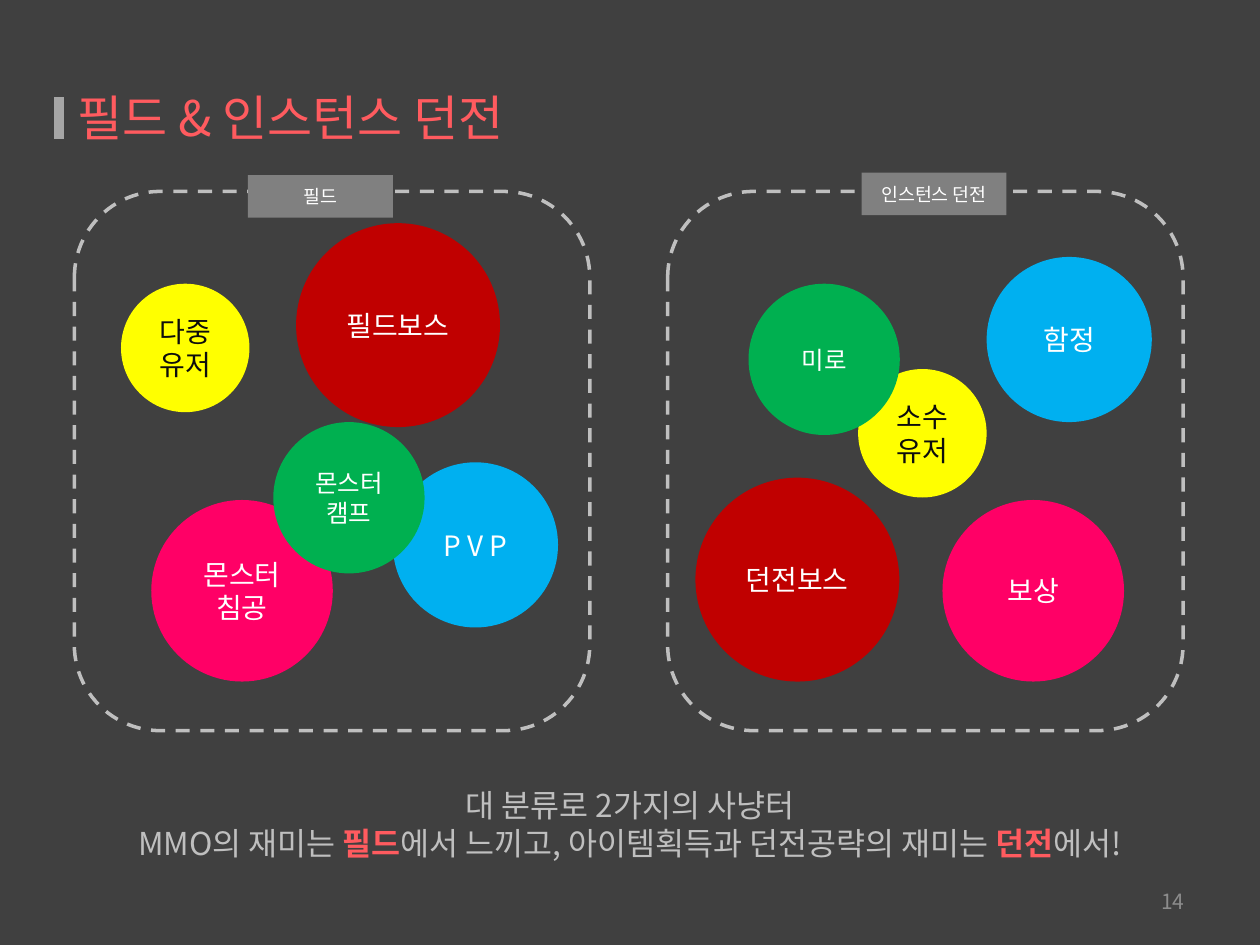
from lxml import etree
from pptx import Presentation
from pptx.dml.color import RGBColor
from pptx.enum.dml import MSO_LINE
from pptx.enum.shapes import MSO_SHAPE
from pptx.enum.text import MSO_ANCHOR, MSO_AUTO_SIZE, PP_ALIGN
from pptx.oxml.ns import qn
from pptx.util import Cm, Pt

RECT, ROUNDED, OVAL = MSO_SHAPE.RECTANGLE, MSO_SHAPE.ROUNDED_RECTANGLE, MSO_SHAPE.OVAL
LEFT, CENTER, RIGHT = PP_ALIGN.LEFT, PP_ALIGN.CENTER, PP_ALIGN.RIGHT
MIDDLE, TOP = MSO_ANCHOR.MIDDLE, MSO_ANCHOR.TOP
DASH, NO_FIT = MSO_LINE.DASH, MSO_AUTO_SIZE.NONE
FONT = "Noto Sans CJK KR"
COLORS = {
    "background": "404040", "bar": "A6A6A6", "frame": "BFBFBF", "label": "808080",
    "accent": "FF5B5F", "white": "FFFFFF", "black": "0D0D0D", "number": "8C8C8C",
    "yellow": "FFFF00", "red": "C00000", "pink": "FF0066", "blue": "00B0F0",
    "green": "00B050",
}


def write(box, paragraphs, size, align=CENTER, anchor=MIDDLE):
    """Fill a box with paragraphs, each a list of (text, color, bold)."""
    frame = box.text_frame
    frame.word_wrap = True
    frame.auto_size = NO_FIT
    frame.vertical_anchor = anchor
    for index, spans in enumerate(paragraphs):
        para = frame.add_paragraph() if index else frame.paragraphs[0]
        para.alignment = align
        for text, color, bold in spans:
            span = para.add_run()
            span.text = text
            span.font.size = Pt(size)
            span.font.bold = bold
            span.font.name = FONT
            span.font.color.rgb = RGBColor.from_string(COLORS[color])
            east_asian = etree.SubElement(span.font._element, qn("a:ea"))
            east_asian.set("typeface", FONT)


def add_block(kind, left, top, width, height, fill=None):
    block = page.shapes.add_shape(kind, Cm(left), Cm(top), Cm(width), Cm(height))
    block.shadow.inherit = False
    block.line.fill.background()
    if fill:
        block.fill.solid()
        block.fill.fore_color.rgb = RGBColor.from_string(COLORS[fill])
    else:
        block.fill.background()
    return block


deck = Presentation()
deck.slide_width, deck.slide_height = Cm(25.4), Cm(19.05)
page = deck.slides.add_slide(deck.slide_layouts[5])
page.background.fill.solid()
page.background.fill.fore_color.rgb = RGBColor.from_string(COLORS["background"])

# Title with its bar
add_block(RECT, 1.09, 1.96, 0.2, 0.84, "bar")
title = page.shapes.title
title.left, title.top, title.width, title.height = Cm(1.3), Cm(0.76), Cm(11.61), Cm(3.18)
write(title, [[("필드 & 인스턴스 던전", "accent", False)]], 28, LEFT)

# Dashed frames with their labels
for frame_left, label_left, label_top, name in [
    (1.5, 5, 3.53, "필드"),
    (13.46, 17.37, 3.48, "인스턴스 던전"),
]:
    border = add_block(ROUNDED, frame_left, 3.86, 10.39, 10.87)
    border.line.color.rgb = RGBColor.from_string(COLORS["frame"])
    border.line.width = Pt(2)
    border.line.dash_style = DASH
    label = add_block(RECT, label_left, label_top, 2.92, 0.86, "label")
    write(label, [[(name, "white", False)]], 10.5)

# Circles, back to front; each color has one diameter and text size
CIRCLE_STYLES = {
    "yellow": (2.59, 16, "black"), "red": (4.11, 16, "white"), "pink": (3.66, 16, "white"),
    "blue": (3.33, 16, "white"), "green": (3.05, 14, "white"),
}
for color, left, top, lines in [
    ("yellow", 2.44, 5.72, ["다중", "유저"]),
    ("yellow", 17.3, 7.44, ["소수유저"]),
    ("red", 5.97, 4.5, ["필드보스"]),
    ("red", 14.02, 9.63, ["던전보스"]),
    ("pink", 3.05, 10.08, ["몬스터 침공"]),
    ("blue", 7.92, 9.32, ["P V P"]),
    ("green", 5.51, 8.51, ["몬스터캠프"]),
    ("pink", 19, 10.08, ["보상"]),
    ("blue", 19.89, 5.18, ["함정"]),
    ("green", 15.09, 5.72, ["미로"]),
]:
    diameter, size, text_color = CIRCLE_STYLES[color]
    circle = add_block(OVAL, left, top, diameter, diameter, color)
    write(circle, [[(line, text_color, False)] for line in lines], size)

# Summary
summary = page.shapes.add_textbox(Cm(1.55), Cm(15.72), Cm(22.3), Cm(1.8))
write(summary, [
    [("대 분류로 2가지의 사냥터", "frame", False)],
    [
        ("MMO의 재미는 ", "frame", False),
        ("필드", "accent", True),
        ("에서 느끼고, 아이템획득과 던전공략의 재미는 ", "frame", False),
        ("던전", "accent", True),
        ("에서!", "frame", False),
    ],
], 18, anchor=TOP)

# Page number
number = page.shapes.add_textbox(Cm(18.21), Cm(17.65), Cm(5.92), Cm(1.02))
write(number, [[("14", "number", False)]], 12, RIGHT)

deck.save("out.pptx")
